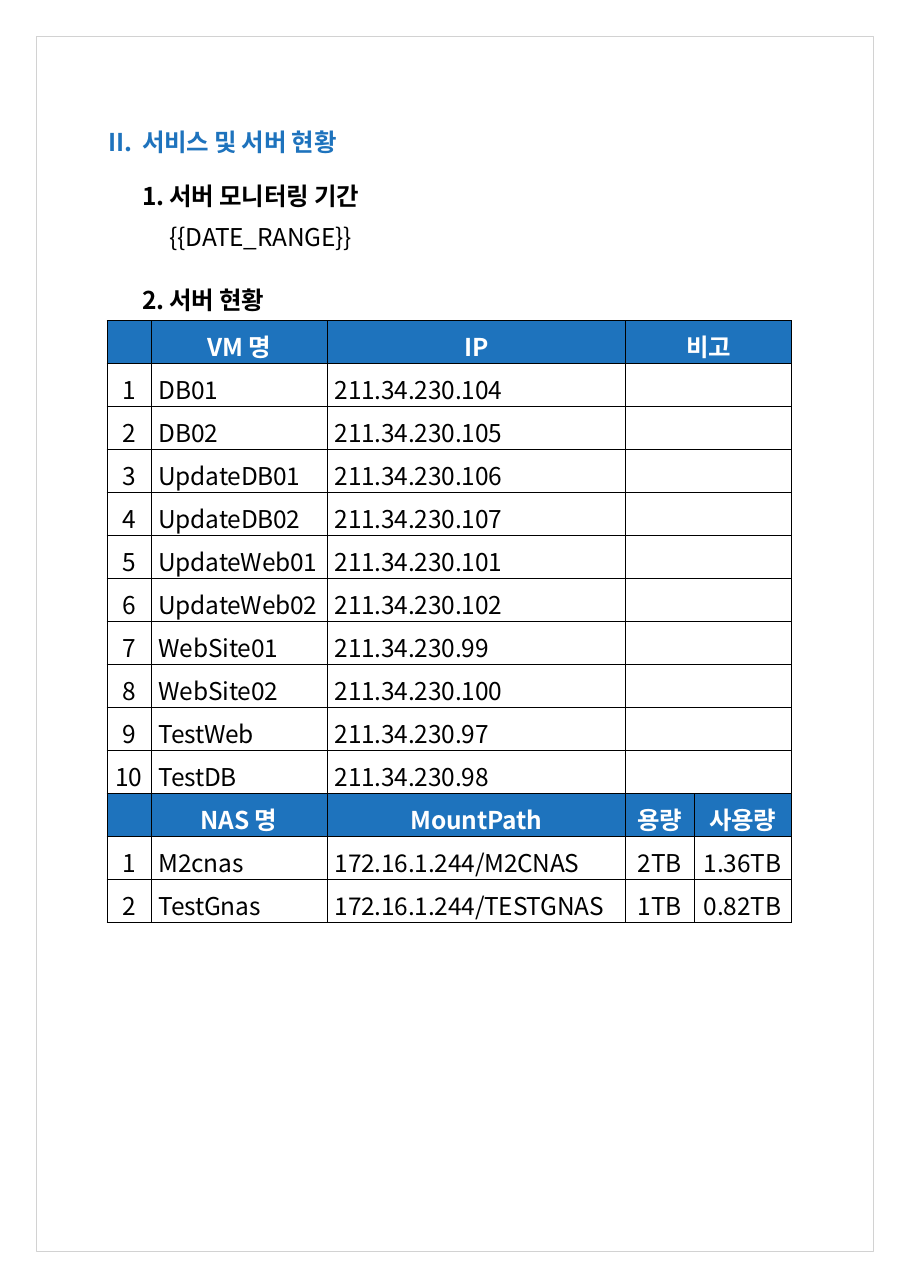
import pptx
import pptx.dml.color
import pptx.enum.shapes
import pptx.enum.text
import pptx.oxml
import pptx.oxml.ns
import pptx.util
from lxml import etree

Inches = pptx.util.Inches
Pt = pptx.util.Pt
ALIGN = pptx.enum.text.PP_ALIGN
qn = pptx.oxml.ns.qn

COLORS = {"blue": "1E73BD", "black": "000000", "white": "FFFFFF", "frame": "D2D2D2"}
FONT = "Noto Sans CJK KR"

SERVERS = [
    ("DB01", "211.34.230.104"),
    ("DB02", "211.34.230.105"),
    ("UpdateDB01", "211.34.230.106"),
    ("UpdateDB02", "211.34.230.107"),
    ("UpdateWeb01", "211.34.230.101"),
    ("UpdateWeb02", "211.34.230.102"),
    ("WebSite01", "211.34.230.99"),
    ("WebSite02", "211.34.230.100"),
    ("TestWeb", "211.34.230.97"),
    ("TestDB", "211.34.230.98"),
]
STORAGE = [
    ("M2cnas", "172.16.1.244/M2CNAS", "2TB", "1.36TB"),
    ("TestGnas", "172.16.1.244/TESTGNAS", "1TB", "0.82TB"),
]
COLUMN_WIDTHS = [0.4, 1.6, 2.71, 0.62, 0.88]
ROW_HEIGHT = 0.39


def rgb(name):
    return pptx.dml.color.RGBColor.from_string(COLORS[name])


class ReportPage:
    """Holds the text style and the current slide."""

    def __init__(self, slide, size=16):
        self.slide = slide
        self.size = size

    def frame(self, left, top, width, height):
        border = self.slide.shapes.add_shape(
            pptx.enum.shapes.MSO_SHAPE.RECTANGLE,
            Inches(left), Inches(top), Inches(width), Inches(height))
        border.shadow.inherit = False
        border.fill.background()
        border.line.color.rgb = rgb("frame")
        border.line.width = Pt(0.5)

    def add_text(self, paragraph, text, color="black", bold=False):
        run = paragraph.add_run()
        run.text = text
        run.font.name = FONT
        run.font.size = Pt(self.size)
        run.font.bold = bold
        run.font.color.rgb = rgb(color)
        properties = run._r.get_or_add_rPr()
        properties.set("spc", "-10")
        east_asian = etree.SubElement(properties, qn("a:ea"))
        east_asian.set("typeface", FONT)

    def place(self, holder, left, top, width, height):
        holder.left, holder.top = Inches(left), Inches(top)
        holder.width, holder.height = Inches(width), Inches(height)
        frame = holder.text_frame
        frame.word_wrap = True
        frame.auto_size = pptx.enum.text.MSO_AUTO_SIZE.NONE
        frame.vertical_anchor = pptx.enum.text.MSO_ANCHOR.TOP
        frame.margin_left = frame.margin_right = frame.margin_bottom = 0
        frame.margin_top = Inches(0.01)
        return frame

    def entry(self, paragraph, text, margin, hanging=0.0, scheme=None, number=1,
              before=0, color="black", bold=True):
        properties = paragraph._p.get_or_add_pPr()
        properties.set("marL", str(Inches(margin)))
        properties.set("indent", str(-Inches(hanging)))
        if scheme:
            numbering = etree.SubElement(properties, qn("a:buAutoNum"))
            numbering.set("type", scheme)
            numbering.set("startAt", str(number))
        else:
            etree.SubElement(properties, qn("a:buNone"))
        paragraph.alignment = ALIGN.LEFT
        paragraph.line_spacing = 1.0
        paragraph.space_before = Pt(before)
        self.add_text(paragraph, text, color, bold)

    def grid(self, left, top, rows, widths, row_height):
        table = self.slide.shapes.add_table(
            rows, len(widths), Inches(left), Inches(top),
            Inches(sum(widths)), Inches(rows * row_height)).table
        table.first_row = table.horz_banding = False
        for column, width in zip(table.columns, widths):
            column.width = Inches(width)
        for row in table.rows:
            row.height = Inches(row_height)
        return table

    def cell(self, cell, text, header=False, centered=True):
        cell.margin_left = Inches(0 if centered else 0.07)
        cell.margin_right = cell.margin_bottom = 0
        cell.margin_top = Inches(0.07)
        properties = cell._tc.get_or_add_tcPr()
        for side in ("lnL", "lnR", "lnT", "lnB"):
            edge = etree.SubElement(properties, qn("a:" + side), w=str(Pt(0.5)))
            fill = etree.SubElement(edge, qn("a:solidFill"))
            etree.SubElement(fill, qn("a:srgbClr"), val=COLORS["black"])
        if header:
            cell.fill.solid()
            cell.fill.fore_color.rgb = rgb("blue")
        else:
            cell.fill.background()
        paragraph = cell.text_frame.paragraphs[0]
        paragraph.alignment = ALIGN.CENTER if centered else ALIGN.LEFT
        paragraph.font.size = Pt(self.size)
        if text:
            self.add_text(paragraph, text, "white" if header else "black", header)


def main():
    deck = pptx.Presentation()
    deck.slide_width, deck.slide_height = Inches(8.26), Inches(11.69)
    slide = deck.slides.add_slide(deck.slide_layouts[1])
    page = ReportPage(slide)

    # Page frame
    page.frame(0.33, 0.33, 7.6, 11.03)

    # Section heading
    heading = page.place(slide.shapes.title, 0.97, 1.14, 4.75, 0.35)
    page.entry(heading.paragraphs[0], "서비스 및 서버 현황", 0.32, 0.31,
               "romanUcPeriod", 2, color="blue")

    # Numbered topics with the monitoring period
    topics = page.place(slide.placeholders[1], 0.97, 1.63, 4.75, 1.25)
    page.entry(topics.paragraphs[0], "서버 모니터링 기간", 0.57, 0.25, "arabicPeriod")
    page.entry(topics.add_paragraph(), "{{DATE_RANGE}}", 0.57, before=8, bold=False)
    page.entry(topics.add_paragraph(), "서버 현황", 0.57, 0.25, "arabicPeriod", 2, before=22)

    # Server and storage table
    server_rows = [(str(n), *server, "", "") for n, server in enumerate(SERVERS, 1)]
    storage_rows = [(str(n), *volume) for n, volume in enumerate(STORAGE, 1)]
    rows = [("", "VM 명", "IP", "비고", ""), *server_rows,
            ("", "NAS 명", "MountPath", "용량", "사용량"), *storage_rows]
    storage_header = len(server_rows) + 1
    status = page.grid(0.97, 2.91, len(rows), COLUMN_WIDTHS, ROW_HEIGHT)
    for r, row in enumerate(rows):
        header = r in (0, storage_header)
        if r < storage_header:
            status.cell(r, 3).merge(status.cell(r, 4))
        for c, text in enumerate(row):
            page.cell(status.cell(r, c), text, header, header or c not in (1, 2))

    deck.save("out.pptx")


if __name__ == "__main__":
    main()
